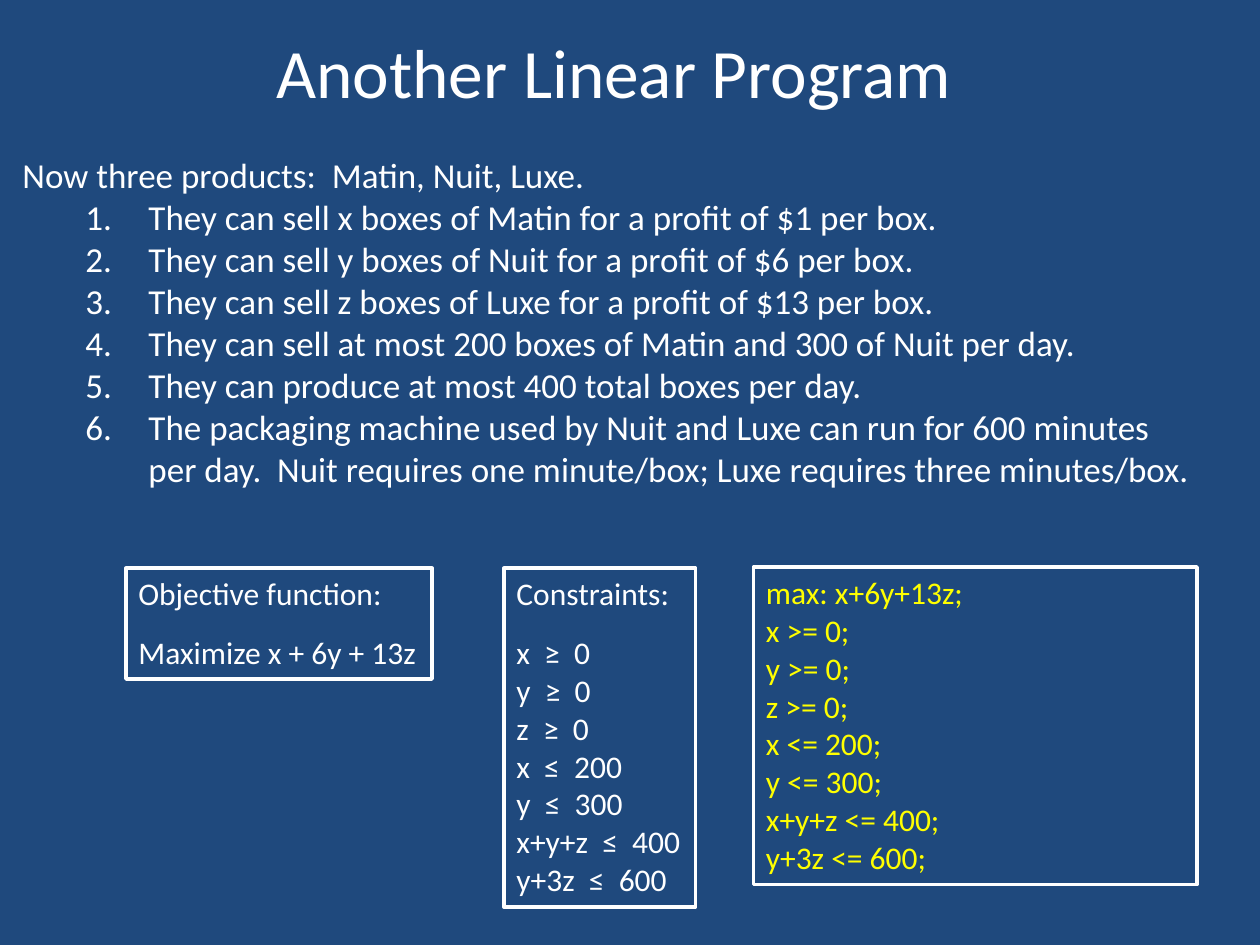
from dataclasses import dataclass

from lxml import etree
from pptx import Presentation, util as u
from pptx.dml.color import RGBColor
from pptx.enum import text as t
from pptx.oxml.ns import qn

FONT = "Calibri"
NAVY, WHITE, YELLOW = "1F497D", "FFFFFF", "FFFF00"


@dataclass
class Panel:
    """A framed text box; a heading, if any, stands apart from the lines."""
    left: float
    top: float
    width: float
    height: float
    lines: list[str]
    heading: str = ""
    color: str = WHITE
    wrap: bool = False


PRODUCT_FACTS = [
    "They can sell x boxes of Matin for a profit of $1 per box.",
    "They can sell y boxes of Nuit for a profit of $6 per box.",
    "They can sell z boxes of Luxe for a profit of $13 per box.",
    "They can sell at most 200 boxes of Matin and 300 of Nuit per day.",
    "They can produce at most 400 total boxes per day.",
    "The packaging machine used by Nuit and Luxe can run for 600 minutes per day.  "
    "Nuit requires one minute/box; Luxe requires three minutes/box.",
]

PANELS = [
    Panel(1, 4.51, 2.43, 0.88, ["Maximize x + 6y + 13z"], "Objective function:"),
    Panel(4, 4.51, 1.52, 2.69,
          ["x  ≥  0", "y  ≥  0", "z  ≥  0", "x  ≤  200", "y  ≤  300",
           "x+y+z  ≤  400", "y+3z  ≤  600"], "Constraints:"),
    Panel(5.98, 4.5, 3.52, 2.52,
          ["max: x+6y+13z;", "x >= 0;", "y >= 0;", "z >= 0;", "x <= 200;",
           "y <= 300;", "x+y+z <= 400;", "y+3z <= 600;"], color=YELLOW, wrap=True),
]


def rgb(value: str) -> RGBColor:
    return RGBColor.from_string(value)


def add_box(page, left: float, top: float, width: float, height: float,
            wrap: bool = True, grow: bool = True):
    box = page.shapes.add_textbox(*map(u.Inches, (left, top, width, height)))
    box.text_frame.word_wrap = wrap
    box.text_frame.auto_size = (t.MSO_AUTO_SIZE.SHAPE_TO_FIT_TEXT if grow
                                else t.MSO_AUTO_SIZE.NONE)
    return box


def add_para(box, content: str, *, size: float, color: str = WHITE,
             align=None, before: float = 0, numbered: bool = False) -> None:
    """Write a paragraph, using the box's empty first one if it is still free."""
    frame = box.text_frame
    para = frame.paragraphs[0] if not frame.text else frame.add_paragraph()
    if numbered:
        number_para(para)
    para.alignment = align
    if before:
        para.space_before = u.Pt(before)
    span = para.add_run()
    span.text = content
    span.font.name = FONT
    span.font.size = u.Pt(size)
    span.font.color.rgb = rgb(color)


def number_para(para) -> None:
    para.level = 1
    props = para._p.get_or_add_pPr()
    props.set("marL", str(u.Inches(1)))
    props.set("indent", str(u.Inches(-0.5)))
    etree.SubElement(props, qn("a:buFont"), typeface="+mj-lt")
    etree.SubElement(props, qn("a:buAutoNum"), type="arabicPeriod")


def add_panel(page, panel: Panel) -> None:
    box = add_box(page, panel.left, panel.top, panel.width, panel.height, panel.wrap)
    box.line.color.rgb = rgb(WHITE)
    box.line.width = u.Pt(2)
    if panel.heading:
        add_para(box, panel.heading, size=18, color=panel.color)
    for index, line in enumerate(panel.lines):
        gap = 12 if panel.heading and index == 0 else 0
        add_para(box, line, size=18, color=panel.color, before=gap)


def main() -> None:
    deck = Presentation()
    deck.slide_width, deck.slide_height = u.Inches(10), u.Inches(7.5)
    page = deck.slides.add_slide(deck.slide_layouts[6])
    page.background.fill.solid()
    page.background.fill.fore_color.rgb = rgb(NAVY)

    title = add_box(page, 0.5, 0.17, 9, 0.78, grow=False)
    title.text_frame.vertical_anchor = t.MSO_ANCHOR.MIDDLE
    title.text_frame.margin_right = u.Inches(0.35)
    add_para(title, "Another Linear Program", size=39.6, align=t.PP_ALIGN.CENTER)

    body = add_box(page, 0.08, 1.17, 9.59, 2.79)
    add_para(body, "Now three products:  Matin, Nuit, Luxe.", size=20)
    for fact in PRODUCT_FACTS:
        add_para(body, fact, size=20, numbered=True)

    for panel in PANELS:
        add_panel(page, panel)
    deck.save("out.pptx")


if __name__ == "__main__":
    main()
